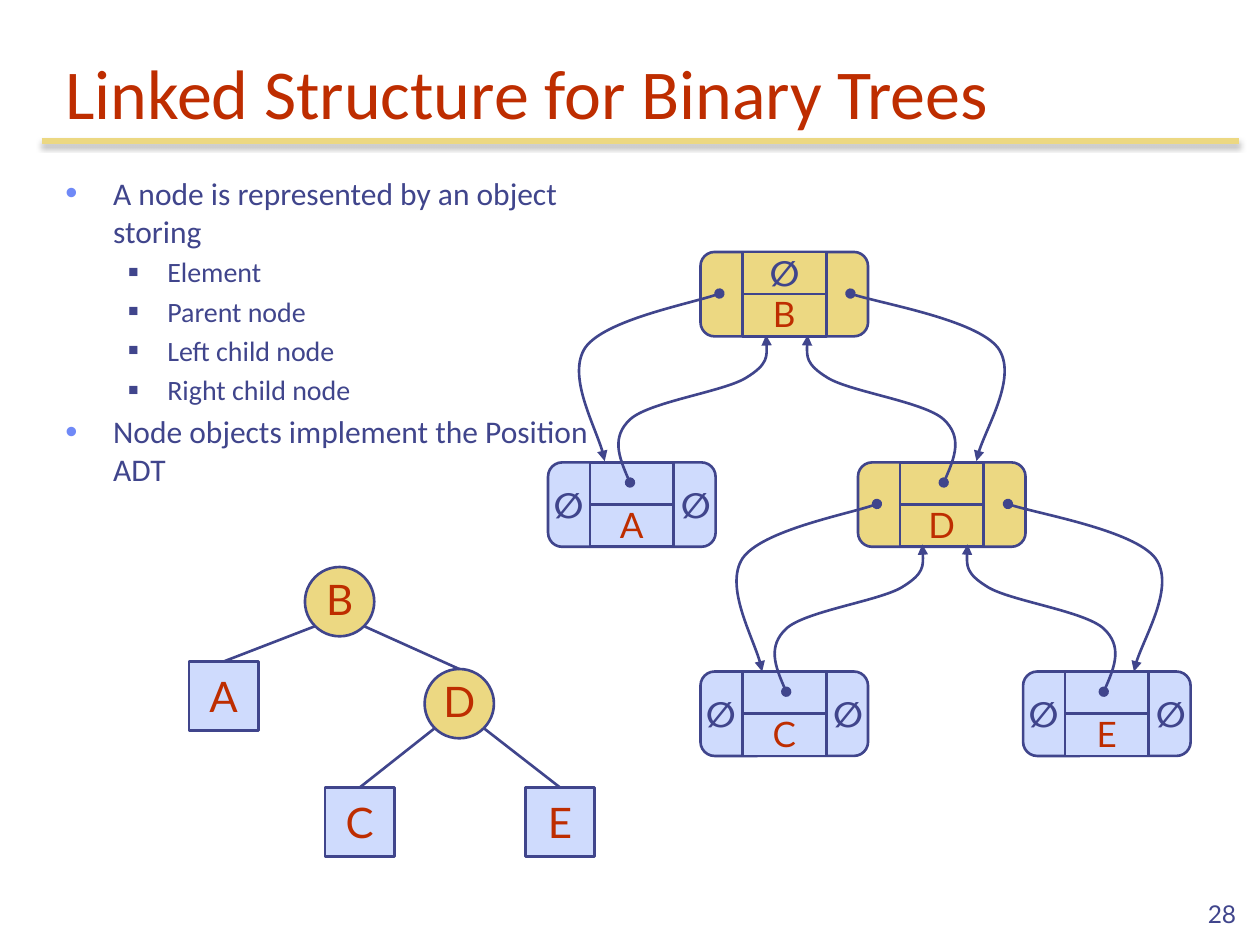
from lxml import etree
from pptx import Presentation
from pptx.dml.color import RGBColor
from pptx.enum.shapes import MSO_CONNECTOR, MSO_SHAPE
from pptx.enum.text import MSO_ANCHOR, MSO_AUTO_SIZE, PP_ALIGN
from pptx.oxml.ns import qn
from pptx.util import Inches, Pt

COLORS = {"ink": "40458C", "red": "BE2D00", "gold": "ECD882",
          "pale": "CFDBFD", "bullet": "6F89F7", "shadow": "000000"}
BODY_FONT, LABEL_FONT = "Calibri", "Lato"
EMPTY = "∅"

# Pointer curves as offsets from their start: two Bezier pieces or three
UP_CURVE = [(-0.08, -0.18), (-0.15, -0.36), (0, -0.5),
            (0.15, -0.64), (0.74, -0.72), (0.92, -0.83),
            (1.1, -0.94), (1.09, -1.05), (1.08, -1.17)]
DOWN_CURVE = [(0.19, 0.07), (1, 0.21), (1.17, 0.43),
              (1.33, 0.65), (1.03, 1.14), (1, 1.33)]


def rgb(name):
    return RGBColor.from_string(COLORS[name])


def add_xml(parent, tag, **attributes):
    return etree.SubElement(parent, qn(tag), **attributes)


def style_font(font, size, color, name=LABEL_FONT, bold=False):
    font.size, font.name, font.bold = Pt(size), name, bold
    font.color.rgb = rgb(color)


def style_line(shape, color="ink", width=1.5):
    shape.line.color.rgb = rgb(color)
    shape.line.width = Pt(width)


def add_box(shapes, kind, box, fill):
    shape = shapes.add_shape(kind, *map(Inches, box))
    shape.shadow.inherit = False
    shape.fill.solid()
    shape.fill.fore_color.rgb = rgb(fill)
    style_line(shape)
    return shape


def add_line(shapes, start, end):
    line = shapes.add_connector(MSO_CONNECTOR.STRAIGHT,
                                *map(Inches, (*start, *end)))
    style_line(line)
    effects = add_xml(line._element.spPr, "a:effectLst")
    return line, effects


def add_label(shapes, center, text, color, bold=False):
    size = 0.43
    label = shapes.add_textbox(Inches(center[0] - size / 2), Inches(center[1] - size / 2),
                               Inches(size), Inches(size))
    frame = label.text_frame
    frame.word_wrap = False
    frame.text = text
    frame.paragraphs[0].alignment = PP_ALIGN.CENTER
    style_font(frame.paragraphs[0].runs[0].font, 20, color, bold=bold)


def add_pointer(shapes, start, offsets, x_scale):
    """Draw a curved arrow with a dot at its start."""
    points = [(Inches(start[0] + dx * x_scale), Inches(start[1] + dy)) for dx, dy in offsets]
    builder = shapes.build_freeform(*map(Inches, start))
    builder.add_line_segments(points, close=False)
    pointer = builder.convert_to_shape()
    pointer.shadow.inherit = False
    pointer.fill.background()
    style_line(pointer)

    # Join every three segments into one cubic curve
    segments = list(pointer._element.iter(qn("a:lnTo")))
    outline = segments[0].getparent()
    for first in range(0, len(segments), 3):
        curve = add_xml(outline, "a:cubicBezTo")
        for segment in segments[first:first + 3]:
            curve.append(segment[0])
            outline.remove(segment)
    stroke = pointer.line._get_or_add_ln()
    add_xml(stroke, "a:headEnd", type="oval")
    add_xml(stroke, "a:tailEnd", type="triangle")


def add_title(slide, box):
    title = slide.shapes.title
    title.left, title.top, title.width, title.height = map(Inches, box)
    frame = title.text_frame
    frame.text = "Linked Structure for Binary Trees"
    frame.auto_size = MSO_AUTO_SIZE.NONE
    frame.vertical_anchor = MSO_ANCHOR.BOTTOM
    frame.paragraphs[0].alignment = PP_ALIGN.LEFT
    style_font(frame.paragraphs[0].runs[0].font, 40, "red", BODY_FONT)

    # Rule under the title
    rule_y = box[1] + box[3] + 0.01
    rule, effects = add_line(slide.shapes, (0.33, rule_y), (9.83, rule_y))
    style_line(rule, "gold", 3)
    shadow = add_xml(effects, "a:outerShdw", blurRad=str(Pt(3.1)), dist=str(Pt(1.8)),
                     dir="5400000", rotWithShape="0")
    shade = add_xml(shadow, "a:srgbClr", val=COLORS["shadow"])
    add_xml(shade, "a:alpha", val="35000")


def add_bullets(slide, box):
    # Level: text size, margin, hanging indent, bullet, its colour and percentage
    levels = [(18, 0.38, -0.38, "•", "bullet", 110),
              (16, 0.81, -0.31, "■", "ink", 60)]
    items = [(0, "A node is represented by an object storing"),
             (1, "Element"), (1, "Parent node"),
             (1, "Left child node"), (1, "Right child node"),
             (0, "Node objects implement the Position ADT")]
    frame = slide.shapes.add_textbox(*map(Inches, box)).text_frame
    frame.word_wrap = True
    for index, (level, text) in enumerate(items):
        size, margin, indent, mark, color, percent = levels[level]
        item = frame.paragraphs[0] if index == 0 else frame.add_paragraph()
        item.text = text
        item.level = level
        props = item._p.get_or_add_pPr()
        props.set("marL", str(Inches(margin)))
        props.set("indent", str(Inches(indent)))
        add_xml(add_xml(props, "a:buClr"), "a:srgbClr", val=COLORS[color])
        add_xml(props, "a:buSzPct", val=str(percent * 1000))
        add_xml(props, "a:buFont", typeface="Arial")
        add_xml(props, "a:buChar", char=mark)
        if index:
            item.space_before = Pt(size * 0.2)
        style_font(item.runs[0].font, size, "ink", BODY_FONT)


def add_tree(slide, left, top):
    """Abstract tree: circles are inner nodes, squares are leaves."""
    side = 0.55
    spots = {"B": (0.92, 0), "D": (1.87, 0.81), "A": (0, 0.75),
             "C": (1.08, 1.75), "E": (2.67, 1.75)}
    edges = [("B", "A", -1), ("B", "D", 1), ("D", "C", -1), ("D", "E", 1)]
    nodes = {}
    for name, (dx, dy) in spots.items():
        inner = name in "BD"
        kind, fill = (MSO_SHAPE.OVAL, "gold") if inner else (MSO_SHAPE.RECTANGLE, "pale")
        node = add_box(slide.shapes, kind, (left + dx, top + dy, side, side), fill)
        frame = node.text_frame
        frame.word_wrap = False
        frame.vertical_anchor = MSO_ANCHOR.MIDDLE
        if inner:
            frame.margin_left = frame.margin_right = frame.margin_top = 0
        frame.text = name
        frame.paragraphs[0].alignment = PP_ALIGN.CENTER
        style_font(frame.paragraphs[0].runs[0].font, 24, "red")
        nodes[name] = node
    reach = side / 2 * 0.71
    for parent, child, direction in edges:
        dx, dy = spots[parent]
        start = (left + dx + side / 2 + direction * reach, top + dy + side / 2 + reach)
        edge, _ = add_line(slide.shapes, start, start)
        edge.end_connect(nodes[child], 0)


def add_record(slide, name, left, top, inner, root):
    """Node object: left link, parent over element, right link."""
    width, height = 1.33, 0.67
    fill = "gold" if inner else "pale"
    record = slide.shapes.add_group_shape().shapes
    frame = add_box(record, MSO_SHAPE.ROUNDED_RECTANGLE, (left, top, width, height), fill)
    frame.adjustments[0] = 0.167
    cell = add_box(record, MSO_SHAPE.RECTANGLE,
                   (left + width / 4, top, width / 2, height), fill)
    divider, _ = add_line(record, (left, top), (left + width, top))
    divider.begin_connect(cell, 1)
    divider.end_connect(cell, 3)

    middle = left + width / 2
    add_label(slide.shapes, (middle, top + 0.49), name, "red")
    empty_spots = [] if inner else [(left + 0.16, top + 0.33), (left + 1.17, top + 0.33)]
    if root:
        empty_spots.append((middle, top + 0.16))
    for spot in empty_spots:
        add_label(slide.shapes, spot, EMPTY, "ink", bold=True)


def add_linked_structure(slide, left, top):
    # Name: offset, start of the parent pointer, direction to the parent
    records = {"B": (1.21, 0, None, 0), "A": (0, 1.67, 0.65, 1),
               "D": (2.46, 1.67, 0.68, -1), "C": (1.21, 3.33, 0.68, 1),
               "E": (3.77, 3.33, 0.64, -1)}
    for name, (dx, dy, _, direction) in records.items():
        add_record(slide, name, left + dx, top + dy, name in "BD", direction == 0)
    for name, (dx, dy, parent_x, direction) in records.items():
        x, y = left + dx, top + dy
        if direction:
            add_pointer(slide.shapes, (x + parent_x, y + 0.16), UP_CURVE, direction)
        if name in "BD":
            add_pointer(slide.shapes, (x + 0.15, y + 0.33), DOWN_CURVE, -0.91)
            add_pointer(slide.shapes, (x + 1.19, y + 0.33), DOWN_CURVE, 1)


def add_page_number(slide, box):
    frame = slide.shapes.add_textbox(*map(Inches, box)).text_frame
    frame.word_wrap = True
    frame.vertical_anchor = MSO_ANCHOR.BOTTOM
    frame.text = "28"
    frame.paragraphs[0].alignment = PP_ALIGN.RIGHT
    style_font(frame.paragraphs[0].runs[0].font, 14, "ink")


def main():
    deck = Presentation()
    deck.slide_width, deck.slide_height = Inches(10), Inches(7.5)
    slide = deck.slides.add_slide(deck.slide_layouts[5])
    add_title(slide, (0.42, 0.33, 9.33, 0.78))
    add_bullets(slide, (0.42, 1.33, 4.42, 5.76))
    add_page_number(slide, (7.83, 6.92, 2.08, 0.5))
    add_tree(slide, 1.5, 4.5)
    add_linked_structure(slide, 4.35, 2)
    deck.save("out.pptx")


if __name__ == "__main__":
    main()
